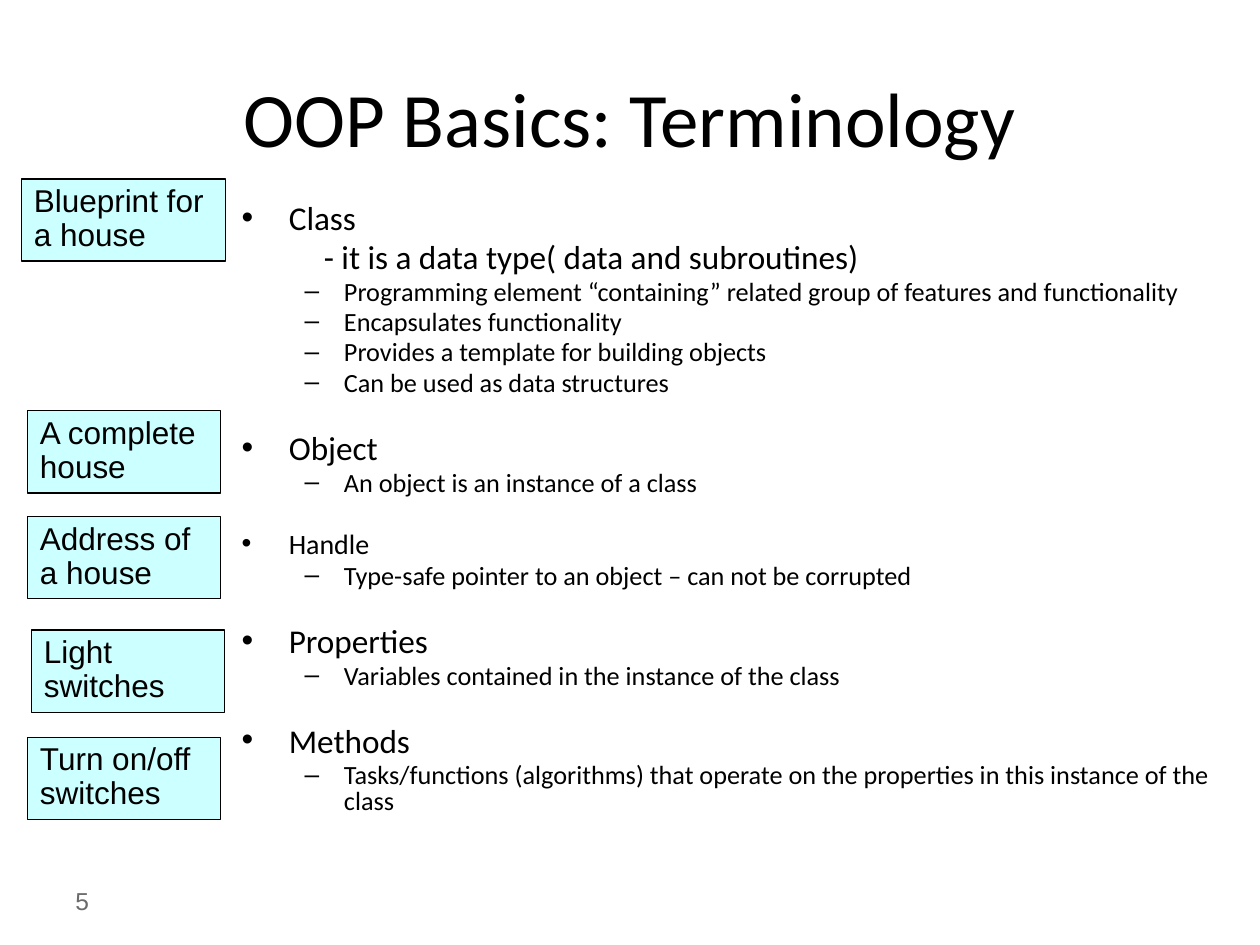
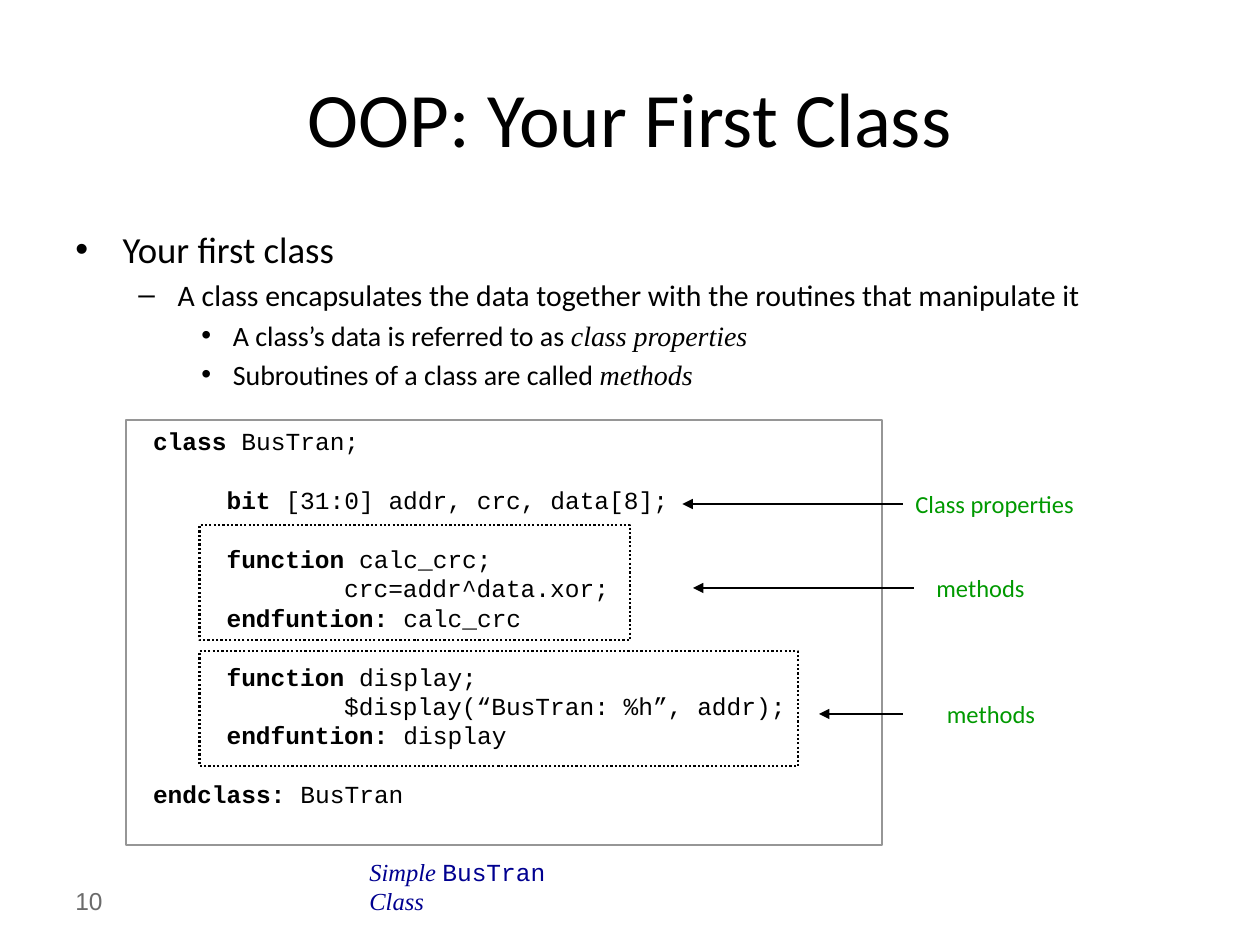
"""Build two slides on object-oriented programming basics."""
from pptx import Presentation
from pptx.dml.color import RGBColor
from pptx.enum.dml import MSO_LINE
from pptx.enum.shapes import MSO_CONNECTOR, MSO_SHAPE
from pptx.enum.text import MSO_ANCHOR as Anchor, PP_ALIGN as Align
from pptx.oxml.ns import qn
from pptx.util import Pt
from lxml.etree import SubElement

BLACK = RGBColor(0x00, 0x00, 0x00)
PAGE_GRAY = RGBColor(0x6B, 0x6B, 0x6B)
FRAME_GRAY = RGBColor(0x96, 0x96, 0x96)
PALE_CYAN = RGBColor(0xCC, 0xFF, 0xFF)
LABEL_GREEN = RGBColor(0x00, 0x99, 0x00)
CAPTION_BLUE = RGBColor(0x00, 0x00, 0x90)

SANS, BODY, SERIF, MONO = "Arial", "Calibri", "Times New Roman", "Courier New"
BULLETS = [("•", 27, -27), ("–", 58.5, -22.5), ("•", 90, -18)]
CODE_SIZE = 14
CODE_CHARACTER = 8.4
CODE_LINE = 16.8
BODY_GAP = 17.5

ANALOGIES = [
    ("Blueprint for a house", 12.25, 102.25, 116.5),
    ("A complete house", 15.75, 234.75, 110.25),
    ("Light switches", 18, 360, 110.25),
    ("Turn on/off switches", 15.75, 421.25, 110.25),
    ("Address of a house", 15.75, 295.25, 110.25),
]

TERMS = [
    ("Class", 19, [
        "Programming element “containing” related group of features and functionality",
        "Encapsulates functionality",
        "Provides a template for building objects",
        "Can be used as data structures",
    ]),
    ("Object", 19, ["An object is an instance of a class"]),
    ("Handle", 16, ["Type-safe pointer to an object – can not be corrupted"]),
    ("Properties", 19, ["Variables contained in the instance of the class"]),
    ("Methods", 19, [
        "Tasks/functions (algorithms) that operate on the properties "
        "in this instance of the class",
    ]),
]

CODE = [
    (1, 0, "class ", "BusTran;"),
    (6, 1, "bit ", "[31:0] addr, crc, data[8];"),
    (6, 1, "function ", "calc_crc;"),
    (14, 0, "", "crc=addr^data.xor;"),
    (6, 0, "endfuntion: ", "calc_crc"),
    (6, 1, "function ", "display;"),
    (14, 0, "", "$display(“BusTran: %h”, addr);"),
    (6, 0, "endfuntion: ", "display"),
    (1, 1, "endclass: ", "BusTran"),
]


class SlideBuilder:
    """Hold the shared style and the current slide."""

    def __init__(self, presentation):
        self.presentation = presentation
        self.slide = None

    def start(self, title, number):
        self.slide = self.presentation.slides.add_slide(
            self.presentation.slide_layouts[5])
        shape = self.slide.shapes.title
        shape.left, shape.top, shape.width, shape.height = map(
            Pt, (36, 21.6, 648, 90))
        frame = shape.text_frame
        frame.vertical_anchor = Anchor.MIDDLE
        paragraph = frame.paragraphs[0]
        paragraph.alignment = Align.CENTER
        self.run(paragraph, title, 44)
        self.text((36, 500.4, 167.75, 28.8), str(number), 14, SANS, PAGE_GRAY,
                  Anchor.MIDDLE)

    def run(self, paragraph, text, size, name=BODY, color=BLACK, bold=False,
            italic=False):
        run = paragraph.add_run()
        run.text = text
        font = run.font
        font.size, font.name = Pt(size), name
        font.bold, font.italic = bold, italic
        font.color.rgb = color

    def frame(self, box, anchor=Anchor.TOP):
        frame = self.slide.shapes.add_textbox(*map(Pt, box)).text_frame
        frame.word_wrap = True
        frame.vertical_anchor = anchor
        return frame

    def text(self, box, text, size, name, color, anchor=Anchor.TOP):
        frame = self.frame(box, anchor)
        self.run(frame.paragraphs[0], text, size, name, color)

    def paragraph(self, frame):
        first = frame.paragraphs[0]
        return first if not first.runs else frame.add_paragraph()

    def indent(self, paragraph, margin, first_line=0):
        properties = paragraph._p.get_or_add_pPr()
        properties.set("marL", str(Pt(margin)))
        properties.set("indent", str(Pt(first_line)))
        return properties

    def item(self, frame, level, size, text, spacing=1.0, gap=0, emphasis=""):
        paragraph = self.paragraph(frame)
        paragraph.level = level
        paragraph.line_spacing = spacing
        paragraph.space_before = Pt(0.2 * size + gap)
        mark, margin, first_line = BULLETS[level]
        properties = self.indent(paragraph, margin, first_line)
        SubElement(properties, qn("a:buFont")).set("typeface", SANS)
        SubElement(properties, qn("a:buChar")).set("char", mark)
        self.run(paragraph, text, size)
        if emphasis:
            self.run(paragraph, emphasis, size, SERIF, italic=True)

    def rectangle(self, box, line_color, line_width, fill=None, dash=None):
        shape = self.slide.shapes.add_shape(MSO_SHAPE.RECTANGLE, *map(Pt, box))
        shape.shadow.inherit = False
        if fill is None:
            shape.fill.background()
        else:
            shape.fill.solid()
            shape.fill.fore_color.rgb = fill
        shape.line.color.rgb = line_color
        shape.line.width = Pt(line_width)
        if dash is not None:
            shape.line.dash_style = dash
        frame = shape.text_frame
        frame.word_wrap = True
        frame.vertical_anchor = Anchor.TOP
        frame.paragraphs[0].alignment = Align.LEFT
        return frame

    def analogy(self, text, left, top, width):
        frame = self.rectangle((left, top, width, 47), BLACK, 0.75, PALE_CYAN)
        paragraph = frame.paragraphs[0]
        paragraph.line_spacing = 0.9
        self.run(paragraph, text, 18, SANS)

    def code(self, box, lines):
        frame = self.rectangle(box, FRAME_GRAY, 1.25)
        for characters, skipped, keyword, rest in lines:
            paragraph = self.paragraph(frame)
            paragraph.alignment = Align.LEFT
            paragraph.line_spacing = Pt(CODE_LINE)
            paragraph.space_before = Pt(skipped * CODE_LINE)
            self.indent(paragraph, characters * CODE_CHARACTER)
            if keyword:
                self.run(paragraph, keyword, CODE_SIZE, MONO, bold=True)
            self.run(paragraph, rest, CODE_SIZE, MONO)

    def label(self, text, left, top, width):
        self.text((left, top, width, 24), text, 14, BODY, LABEL_GREEN)
        return self.slide.shapes[-1]

    def arrow(self, start, end, y, source=None):
        connector = self.slide.shapes.add_connector(
            MSO_CONNECTOR.STRAIGHT, Pt(start), Pt(y), Pt(end), Pt(y))
        if source is not None:
            connector.begin_connect(source, 1)
        connector.line.color.rgb = BLACK
        connector.line.width = Pt(0.75)
        line = connector.line._get_or_add_ln()
        SubElement(line, qn("a:tailEnd")).set("type", "triangle")
        SubElement(connector._element.spPr, qn("a:effectLst"))


def build_terminology(builder):
    builder.start("OOP Basics: Terminology", 5)
    frame = builder.frame((131, 113.75, 583.25, 396))
    for index, (term, size, details) in enumerate(TERMS):
        builder.item(frame, 0, size, term, 0.8, BODY_GAP if index else 0)
        if index == 0:
            paragraph = frame.add_paragraph()
            paragraph.line_spacing = 0.8
            paragraph.space_before = Pt(3.8)
            builder.indent(paragraph, 47)
            builder.run(paragraph, "- it is a data type( data and subroutines)", size)
        for detail in details:
            builder.item(frame, 1, 15, detail, 0.8)
    for analogy in ANALOGIES:
        builder.analogy(*analogy)


def build_first_class(builder):
    builder.start("OOP: Your First Class", 10)
    frame = builder.frame((36, 126, 648, 356.4))
    builder.item(frame, 0, 21, "Your first class")
    builder.item(frame, 1, 17, "A class encapsulates the data together with "
                               "the routines that manipulate it")
    builder.item(frame, 2, 16, "A class’s data is referred to as ",
                 emphasis="class properties")
    builder.item(frame, 2, 16, "Subroutines of a class are called ",
                 emphasis="methods")

    builder.code((72, 240, 432, 243), CODE)
    builder.label("methods", 528, 324, 68.5)
    builder.label("methods", 534, 396, 68.5)
    properties_label = builder.label("Class properties", 516, 276, 116)
    builder.arrow(516, 390, 288, properties_label)
    builder.arrow(522, 396, 336)
    builder.arrow(516, 468, 408)
    for top, width in ((300, 246), (372, 342)):
        builder.rectangle((114, top, width, 66), BLACK, 1.25,
                          dash=MSO_LINE.ROUND_DOT)

    caption = builder.frame((204, 486, 150, 24))
    caption.margin_right = Pt(30)
    paragraph = caption.paragraphs[0]
    for text, name in (("Simple ", SERIF), ("BusTran", MONO), (" Class", SERIF)):
        builder.run(paragraph, text, 14, name, CAPTION_BLUE, italic=name == SERIF)


def main():
    presentation = Presentation()
    presentation.slide_width, presentation.slide_height = Pt(720), Pt(540)
    builder = SlideBuilder(presentation)
    build_terminology(builder)
    build_first_class(builder)
    presentation.save("out.pptx")


if __name__ == "__main__":
    main()
